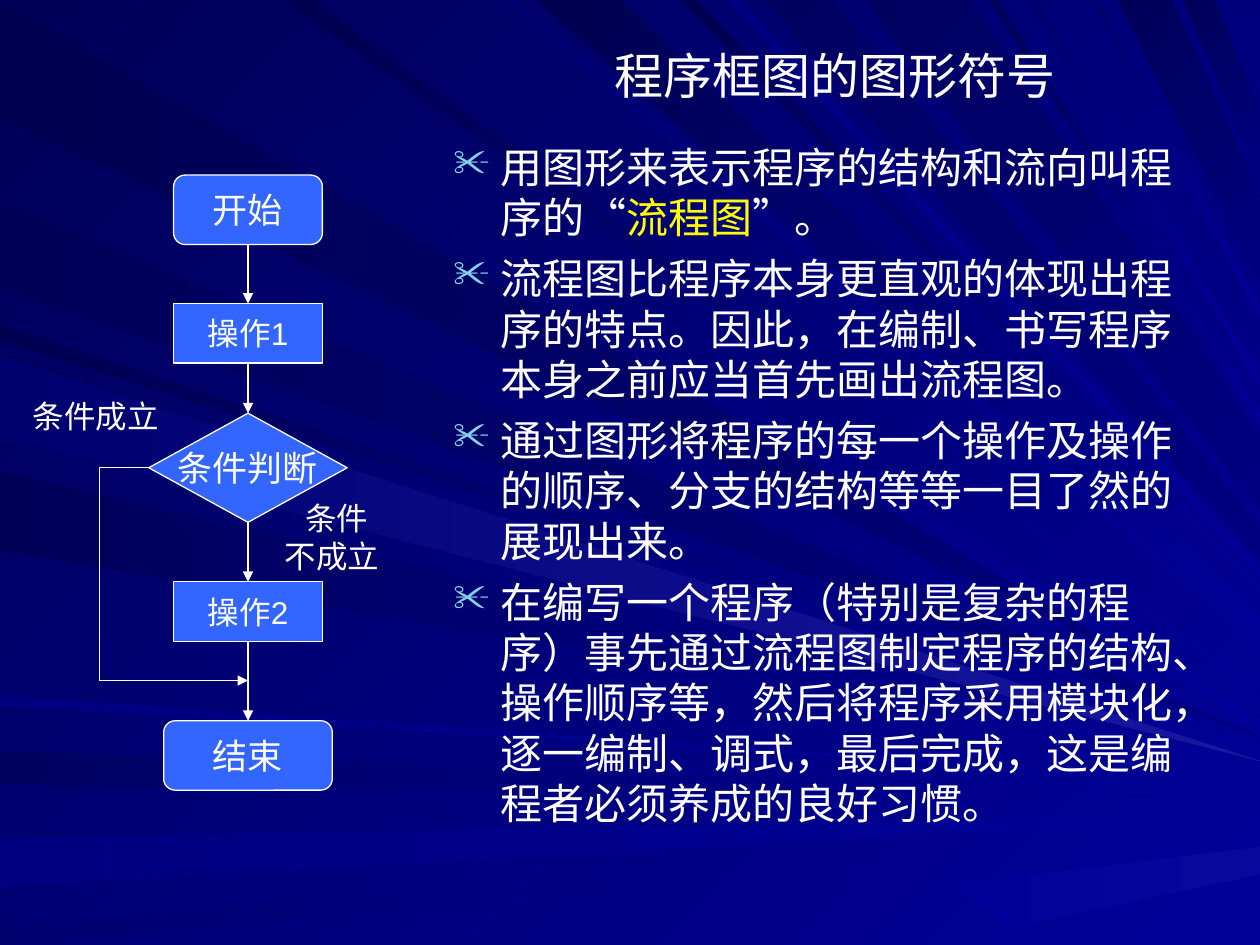
from lxml.etree import SubElement
from pptx import Presentation
from pptx.dml.color import RGBColor
from pptx.enum.shapes import MSO_CONNECTOR, MSO_SHAPE
from pptx.enum.text import MSO_ANCHOR, PP_ALIGN
from pptx.oxml.ns import qn
from pptx.util import Cm, Pt

# Colours
WHITE = RGBColor.from_string("FFFFFF")
YELLOW = RGBColor.from_string("FFFF00")
BOX_BLUE = RGBColor.from_string("3366FF")
BULLET_BLUE = RGBColor.from_string("86D1EC")
INK = RGBColor.from_string("000050")
MIDNIGHT = RGBColor.from_string("000058")
DEEP = RGBColor.from_string("000061")
MID = RGBColor.from_string("00006F")
NAVY = RGBColor.from_string("000080")
BLUE = RGBColor.from_string("000099")
PANEL = RGBColor.from_string("08089C")
GLOW = RGBColor.from_string("1717A2")

FONT = "Arial"
INSETS = (0.25, 0.13)

# Rays are drawn in thousandths of the slide width
RAY_UNIT = Cm(0.0254)
RIGHT = 1000
VANISH_X, VANISH_Y = 1256, 733

# From the left edge: top, bottom, height of the tip at the right edge, colours
LEFT_RAYS = [
    (2, 93, 570, INK, NAVY),
    (596, 623, 632, DEEP, BLUE),
    (665, 704, 647, NAVY, BLUE),
    (735, 750, 662, MID, BLUE),
    (258, 270, 589, INK, BLUE),
    (159, 228, 585, MIDNIGHT, NAVY),
    (278, 342, 600, DEEP, BLUE),
    (374, 437, 606, MIDNIGHT, BLUE),
    (552, 560, 622, NAVY, BLUE),
    (283, 347, 604, MID, GLOW),
]

# From the top edge towards the vanishing point: start, end, colours
TOP_RAYS = [
    (26, 101, MIDNIGHT, BLUE),
    (398, 416, MID, BLUE),
    (426, 492, INK, BLUE),
    (540, 552, INK, BLUE),
    (606, 661, DEEP, NAVY),
    (887, 930, MIDNIGHT, NAVY),
    (939, 964, MIDNIGHT, NAVY),
    (225, 247, INK, BLUE),
    (577, 588, NAVY, BLUE),
    (686, 770, DEEP, NAVY),
    (785, 792, MIDNIGHT, BLUE),
    (815, 824, MID, BLUE),
    (865, 872, MID, BLUE),
]

# Flow chart, top to bottom: text, shape, top, width, height, text size, insets
AXIS = 5.0
ROUNDED = MSO_SHAPE.FLOWCHART_ALTERNATE_PROCESS
STEPS = [
    ("开始", ROUNDED, 3.53, 3.0, 1.4, 20, INSETS),
    ("操作1", MSO_SHAPE.RECTANGLE, 6.12, 3.0, 1.2, 18, INSETS),
    ("条件判断", MSO_SHAPE.FLOWCHART_DECISION, 8.33, 4.0, 2.2, 20, (0.05, 0.03)),
    ("操作2", MSO_SHAPE.RECTANGLE, 11.73, 3.0, 1.2, 18, INSETS),
    ("结束", ROUNDED, 14.53, 3.4, 1.4, 20, INSETS),
]

# Body paragraphs, each a list of (text, colour)
BODY = [
    [("用图形来表示程序的结构和流向叫程序的“", WHITE), ("流程图", YELLOW), ("”。", WHITE)],
    [("流程图比程序本身更直观的体现出程序的特点。因此，在编制、书写程序本身之前应当首先画出流程图。", WHITE)],
    [("通过图形将程序的每一个操作及操作的顺序、分支的结构等等一目了然的展现出来。", WHITE)],
    [("在编写一个程序（特别是复杂的程序）事先通过流程图制定程序的结构、操作顺序等，"
      "然后将程序采用模块化，逐一编制、调式，最后完成，这是编程者必须养成的良好习惯。", WHITE)],
]


def add_run(p, text, *, size, color=WHITE, font=FONT):
    r = p.add_run()
    r.text = text
    r.font.size = Pt(size)
    r.font.name = font
    r.font.color.rgb = color


def add_bullet(p):
    pPr = p._p.get_or_add_pPr()
    pPr.set("marL", str(Cm(0.95)))
    pPr.set("indent", str(-Cm(0.95)))
    clr = SubElement(pPr, qn("a:buClr"))
    SubElement(clr, qn("a:srgbClr"), val=str(BULLET_BLUE))
    SubElement(pPr, qn("a:buSzPct"), val="90000")
    SubElement(pPr, qn("a:buChar"), char="✂")


def paint(fill, start, end, angle):
    fill.gradient()
    fill.gradient_angle = 360 - angle
    for stop, color in zip(fill.gradient_stops, (start, end)):
        stop.color.rgb = color


def right_edge_y(x):
    """Height at which a ray from x on the top edge leaves the slide."""
    return VANISH_Y * (RIGHT - x) / (VANISH_X - x)


class FlowSlide:
    """The slide with the line style its elements share."""

    line_color = WHITE
    line_width = Pt(0.75)

    def __init__(self, prs):
        self.s = prs.slides.add_slide(prs.slide_layouts[6])
        paint(self.s.background.fill, MIDNIGHT, BLUE, 45)

    def frame(self, sp, wrap, anchor, insets=INSETS):
        tf = sp.text_frame
        tf.word_wrap = wrap
        tf.vertical_anchor = anchor
        tf.margin_left = tf.margin_right = Cm(insets[0])
        tf.margin_top = tf.margin_bottom = Cm(insets[1])
        return tf

    def ray(self, corners, start, end, angle):
        fb = self.s.shapes.build_freeform(*corners[0], scale=RAY_UNIT)
        fb.add_line_segments(corners[1:], close=True)
        sp = fb.convert_to_shape()
        sp.shadow.inherit = False
        sp.line.fill.background()
        paint(sp.fill, start, end, angle)

    def step(self, text, kind, top, width, height, size, insets):
        sp = self.s.shapes.add_shape(kind, Cm(AXIS - width / 2), Cm(top), Cm(width), Cm(height))
        sp.shadow.inherit = False
        sp.fill.solid()
        sp.fill.fore_color.rgb = BOX_BLUE
        sp.line.color.rgb = self.line_color
        sp.line.width = self.line_width
        p = self.frame(sp, False, MSO_ANCHOR.MIDDLE, insets).paragraphs[0]
        p.alignment = PP_ALIGN.CENTER
        add_run(p, text, size=size)

    def line(self, x1, y1, x2, y2, arrow=False):
        cx = self.s.shapes.add_connector(MSO_CONNECTOR.STRAIGHT, Cm(x1), Cm(y1), Cm(x2), Cm(y2))
        cx.line.color.rgb = self.line_color
        cx.line.width = self.line_width
        if arrow:
            SubElement(cx.line._get_or_add_ln(), qn("a:tailEnd"), type="triangle")
        SubElement(cx._element.spPr, qn("a:effectLst"))

    def text(self, box, paragraphs, size, aligns, bullets=False, anchor=MSO_ANCHOR.TOP):
        tf = self.frame(self.s.shapes.add_textbox(*map(Cm, box)), True, anchor)
        for i, (runs, align) in enumerate(zip(paragraphs, aligns)):
            p = tf.add_paragraph() if i else tf.paragraphs[0]
            if bullets:
                add_bullet(p)
                if i:
                    p.space_before = Pt(6)
            p.alignment = align
            for text, color in runs:
                add_run(p, text, size=size, color=color)


def main():
    prs = Presentation()
    prs.slide_width, prs.slide_height = Cm(25.4), Cm(19.05)
    slide = FlowSlide(prs)
    left, center = PP_ALIGN.LEFT, PP_ALIGN.CENTER

    # Background rays and the light panel in the corner
    for top, bottom, tip, start, end in LEFT_RAYS:
        slide.ray([(0, top), (RIGHT, tip), (0, bottom)], start, end, 0)
    for x1, x2, start, end in TOP_RAYS:
        corners = [(x1, 0), (RIGHT, right_edge_y(x1)), (RIGHT, right_edge_y(x2)), (x2, 0)]
        slide.ray(corners, start, end, 45)
    slide.ray([(756, 702), (RIGHT, 672), (RIGHT, 694), (800, 737)], BLUE, PANEL, 0)

    # Title and body
    slide.text((11.1, 0.71, 11.46, 1.6), [[("程序框图的图形符号", WHITE)]], 28, [center],
               anchor=MSO_ANCHOR.MIDDLE)
    slide.text((8.89, 2.72, 15.7, 14.4), BODY, 24, [left] * len(BODY), bullets=True)

    # Steps and the arrows between them
    for step in STEPS:
        slide.step(*step)
    for upper, lower in zip(STEPS, STEPS[1:]):
        slide.line(AXIS, upper[2] + upper[4], AXIS, lower[2], arrow=True)

    # Branch around the second operation
    branch_x, branch_top, branch_bottom = 2.0, 9.43, 13.72
    slide.line(branch_x, branch_top, 3.0, branch_top)
    slide.line(branch_x, branch_top, branch_x, branch_bottom)
    slide.line(branch_x, branch_bottom, AXIS, branch_bottom, arrow=True)

    # Branch labels
    slide.text((0.41, 7.87, 3.2, 1.02), [[("条件成立", WHITE)]], 18, [left])
    slide.text((5.49, 9.93, 2.59, 1.78), [[("条件", WHITE)], [("不成立", WHITE)]], 18, [center, left])

    prs.save("out.pptx")


if __name__ == "__main__":
    main()
